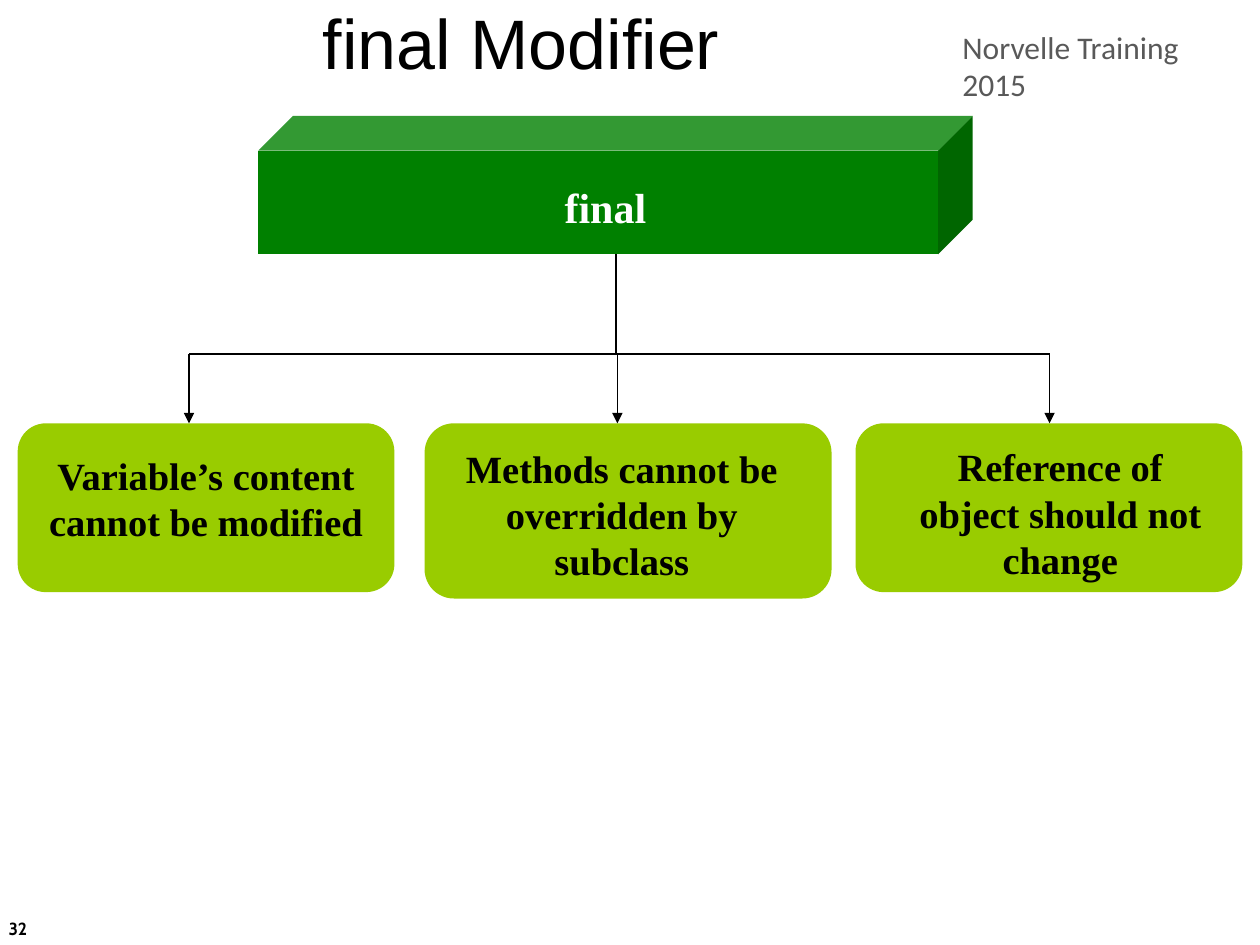
from dataclasses import dataclass
from typing import Any

from lxml.etree import SubElement
from pptx import Presentation
from pptx.dml.color import RGBColor
from pptx.enum.shapes import MSO_CONNECTOR as Connector, MSO_SHAPE as Preset
from pptx.enum.text import MSO_ANCHOR as Anchor, PP_ALIGN as Align
from pptx.oxml.ns import qn
from pptx.util import Inches, Pt

COLORS = {
    "cube": "008000",
    "rule": "99CC00",
    "black": "000000",
    "white": "FFFFFF",
    "gray": "595959",
}
SERIF = "Times New Roman"
BRANCH_Y = 2.81
RULE_TOP = 3.36


@dataclass(frozen=True)
class Box:
    left: float
    top: float
    width: float
    height: float

    def lengths(self) -> tuple:
        return tuple(Inches(v) for v in (self.left, self.top, self.width, self.height))


@dataclass(frozen=True)
class TextStyle:
    font: str
    size: float
    color: str
    bold: bool = False
    align: Any = Align.CENTER
    anchor: Any = Anchor.TOP
    wrap: bool = True


@dataclass(frozen=True)
class Rule:
    text: str
    panel: Box
    label: Box
    arrow_x: float


TITLE = TextStyle("Arial", 40, "black", anchor=Anchor.MIDDLE)
HEADER = TextStyle("Calibri", 18, "gray", align=Align.LEFT, wrap=False)
NUMBER = TextStyle("Cabin", 10, "black", bold=True, align=Align.LEFT, anchor=Anchor.MIDDLE)
KEYWORD = TextStyle(SERIF, 24, "white", bold=True)
RULE_TEXT = TextStyle(SERIF, 22, "black", bold=True)

RULES = [
    Rule("Variable’s content cannot be modified",
         Box(0.14, RULE_TOP, 2.99, 1.34), Box(0.21, 3.54, 2.85, 0.84), 1.5),
    Rule("Methods cannot be overridden by subclass",
         Box(3.37, RULE_TOP, 3.23, 1.39), Box(3.56, 3.48, 2.75, 1.21), 4.9),
    Rule("Reference of object should not change",
         Box(6.79, RULE_TOP, 3.07, 1.34), Box(7.13, 3.47, 2.57, 1.21), 8.33),
]


def rgb(name: str) -> RGBColor:
    return RGBColor.from_string(COLORS[name])


def apply(target: Any, values: dict) -> None:
    for name, value in values.items():
        setattr(target, name, value)


def write(shape: Any, text: str, style: TextStyle) -> None:
    frame = shape.text_frame
    frame.text = text
    apply(frame, {"word_wrap": style.wrap, "vertical_anchor": style.anchor})
    paragraph = frame.paragraphs[0]
    paragraph.alignment = style.align
    font = paragraph.runs[0].font
    apply(font, {"name": style.font, "size": Pt(style.size), "bold": style.bold})
    font.color.rgb = rgb(style.color)


def add_text(slide: Any, box: Box, text: str, style: TextStyle, fill: str = "") -> None:
    shape = slide.shapes.add_textbox(*box.lengths())
    write(shape, text, style)
    if fill:
        shape.fill.solid()
        shape.fill.fore_color.rgb = rgb(fill)


def add_solid(slide: Any, preset: Any, box: Box, fill: str, adjustment: float) -> None:
    shape = slide.shapes.add_shape(preset, *box.lengths())
    shape.adjustments[0] = adjustment
    shape.shadow.inherit = False
    shape.fill.solid()
    shape.fill.fore_color.rgb = rgb(fill)
    shape.line.fill.background()


def add_line(slide: Any, x1: float, y1: float, x2: float, y2: float, arrow: bool = False) -> None:
    points = [Inches(v) for v in (x1, y1, x2, y2)]
    connector = slide.shapes.add_connector(Connector.STRAIGHT, *points)
    connector.line.width = Pt(0.75)
    connector.line.color.rgb = rgb("black")
    properties = connector._element.spPr
    if arrow:
        SubElement(properties.find(qn("a:ln")), qn("a:tailEnd"), type="triangle")
    SubElement(properties, qn("a:effectLst"))


def build() -> None:
    presentation = Presentation()
    apply(presentation, {"slide_width": Inches(10), "slide_height": Inches(7.5)})
    slide = presentation.slides.add_slide(presentation.slide_layouts[5])

    title = slide.shapes.title
    apply(title, dict(zip(("left", "top", "width", "height"), Box(0, 0.08, 8.27, 0.5).lengths())))
    write(title, "final Modifier", TITLE)
    add_text(slide, Box(7.54, 0.17, 2.46, 0.4), "Norvelle Training 2015", HEADER)
    add_text(slide, Box(-0.03, 7.17, 2.33, 0.4), "32", NUMBER)

    add_solid(slide, Preset.CUBE, Box(2.05, 0.92, 5.67, 1.1), "cube", 0.25)
    add_text(slide, Box(3.7, 1.39, 2.21, 0.51), "final", KEYWORD, "cube")

    add_line(slide, 4.89, 2.02, 4.89, BRANCH_Y)
    add_line(slide, RULES[0].arrow_x, BRANCH_Y, RULES[-1].arrow_x, BRANCH_Y)
    for rule in RULES:
        add_solid(slide, Preset.ROUNDED_RECTANGLE, rule.panel, "rule", 0.167)
        add_text(slide, rule.label, rule.text, RULE_TEXT, "rule")
        add_line(slide, rule.arrow_x, BRANCH_Y, rule.arrow_x, RULE_TOP, arrow=True)

    presentation.save("out.pptx")


build()
